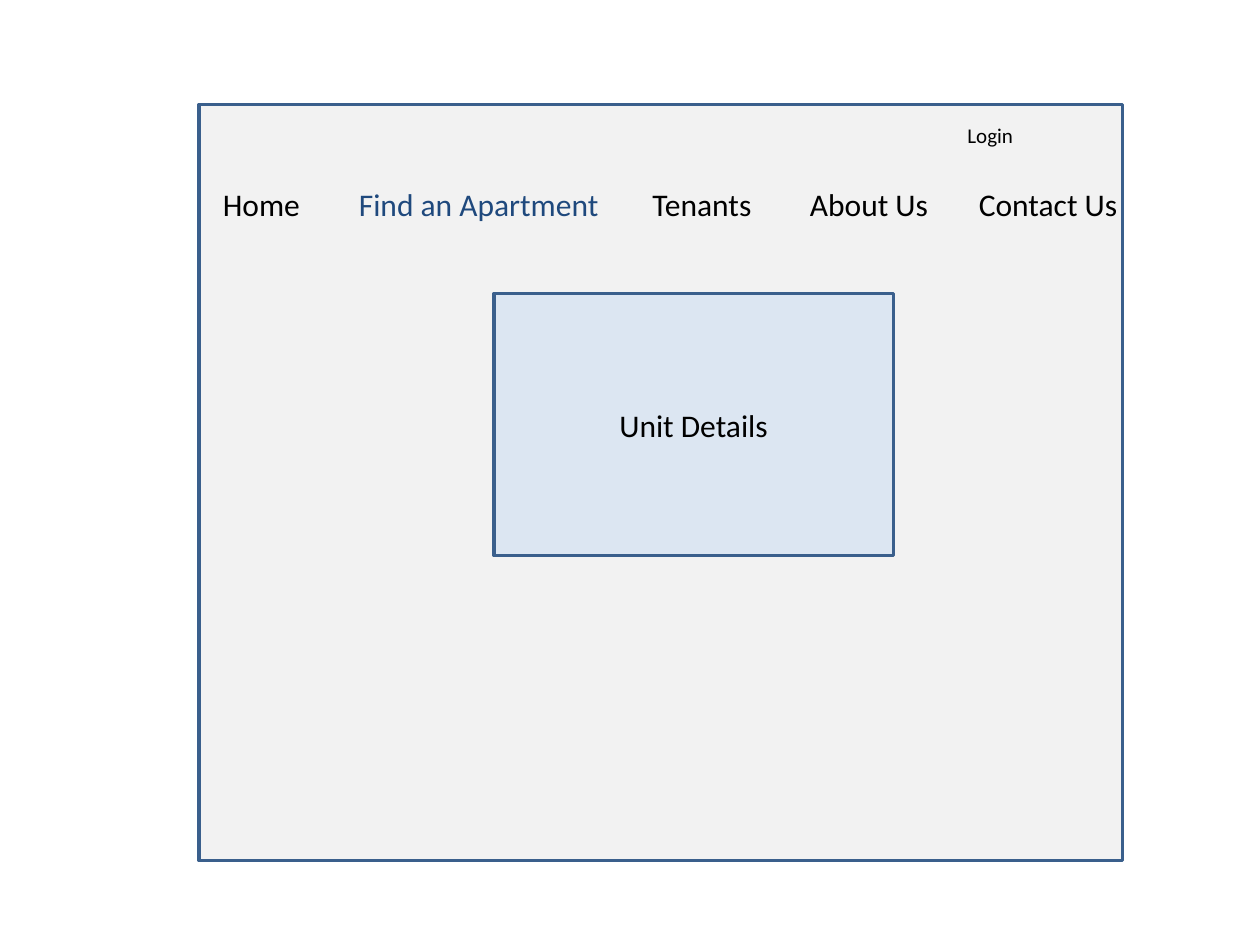
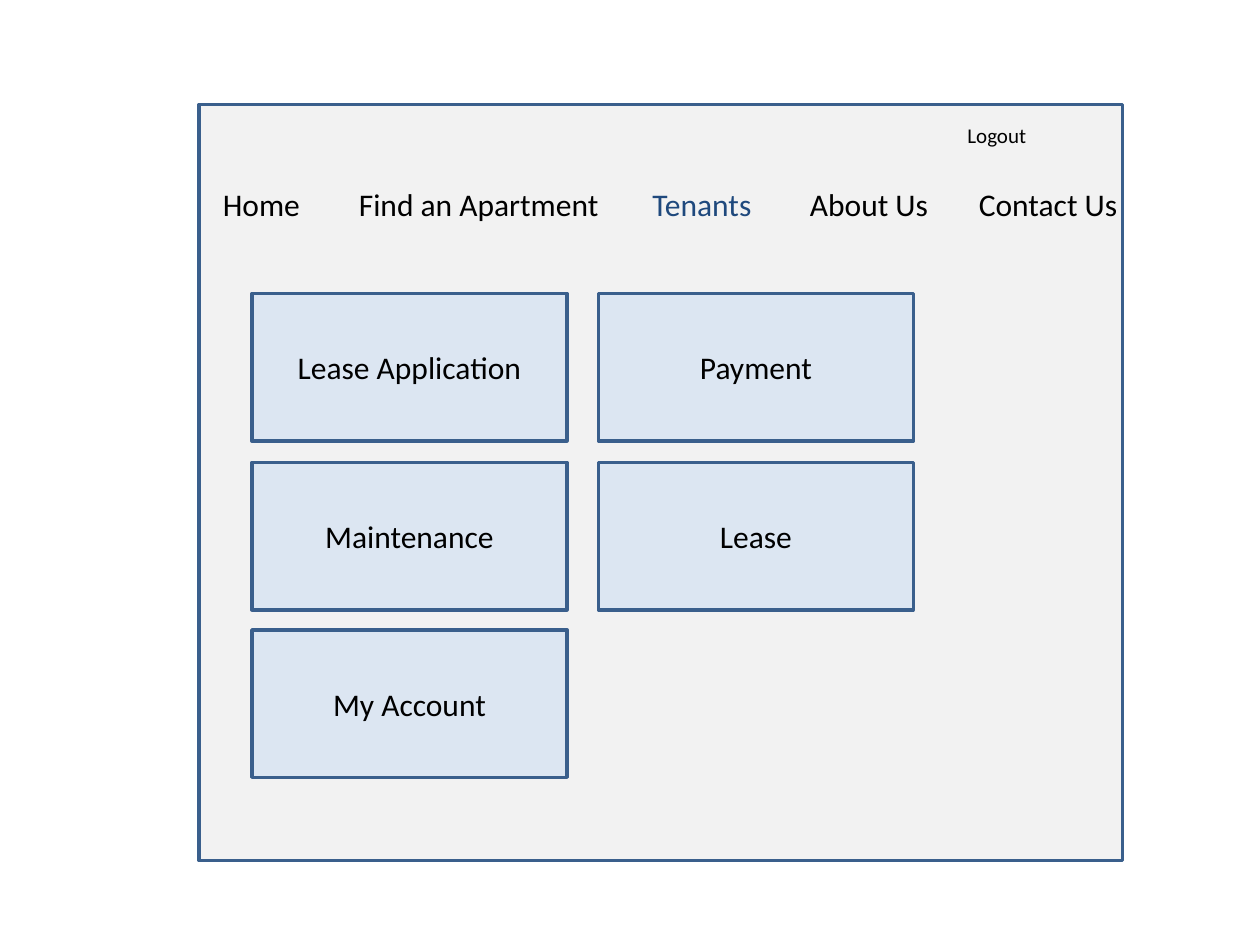
from pptx import Presentation
from pptx.dml.color import RGBColor
from pptx.enum.shapes import MSO_SHAPE
from pptx.enum.text import MSO_ANCHOR, MSO_AUTO_SIZE, PP_ALIGN
from pptx.util import Inches, Pt

BLACK = RGBColor(0x00, 0x00, 0x00)
ACTIVE = RGBColor(0x1F, 0x49, 0x7D)
BORDER = RGBColor(0x3A, 0x5F, 0x8C)
WINDOW = RGBColor(0xF2, 0xF2, 0xF2)
TILE = RGBColor(0xDC, 0xE6, 0xF2)

MENU = [
    ("Home", 1.67, 0.82),
    ("Find an Apartment", 2.75, 2.13),
    ("Tenants", 5.08, 1),
    ("About Us", 6.33, 1.15),
    ("Contact Us", 7.67, 1.31),
]
TILE_NAMES = ["Lease Application", "Payment", "Maintenance", "Lease", "My Account"]
TILES = [
    (name, 2 + 2.75 * (index % 2), round(2.33 + 1.335 * (index // 2), 2), 2.5, 1.17)
    for index, name in enumerate(TILE_NAMES)
]
SCREENS = [
    ("Find an Apartment", "Login", 0.57, [("Unit Details", 3.92, 2.33, 3.17, 2.08)]),
    ("Tenants", "Logout", 0.67, TILES),
]


def add_text(text, *, frame, size=18, color=BLACK, align=PP_ALIGN.LEFT):
    para = frame.paragraphs[0]
    para.alignment = align
    span = para.add_run()
    span.text = text
    span.font.name = "Calibri"
    span.font.size = Pt(size)
    span.font.color.rgb = color


def add_panel(page, left, top, width, height, fill):
    panel = page.shapes.add_shape(
        MSO_SHAPE.RECTANGLE, Inches(left), Inches(top), Inches(width), Inches(height))
    panel.shadow.inherit = False
    panel.fill.solid()
    panel.fill.fore_color.rgb = fill
    panel.line.color.rgb = BORDER
    panel.line.width = Pt(2)
    return panel


deck = Presentation()
deck.slide_width = Inches(10)
deck.slide_height = Inches(7.5)

for active, session, session_width, tiles in SCREENS:
    page = deck.slides.add_slide(deck.slide_layouts[6])
    add_panel(page, 1.58, 0.83, 7.33, 6, WINDOW)

    labels = [(name, left, 1.42, width, 0.4, 18) for name, left, width in MENU]
    labels.insert(4, (session, 7.58, 0.92, session_width, 0.3, 12))
    for name, left, top, width, height, size in labels:
        box = page.shapes.add_textbox(
            Inches(left), Inches(top), Inches(width), Inches(height))
        box.text_frame.word_wrap = False
        box.text_frame.auto_size = MSO_AUTO_SIZE.SHAPE_TO_FIT_TEXT
        add_text(name, frame=box.text_frame, size=size,
                 color=ACTIVE if name == active else BLACK)

    for name, left, top, width, height in tiles:
        tile = add_panel(page, left, top, width, height, TILE)
        tile.text_frame.word_wrap = True
        tile.text_frame.vertical_anchor = MSO_ANCHOR.MIDDLE
        add_text(name, frame=tile.text_frame, align=PP_ALIGN.CENTER)

deck.save("out.pptx")
